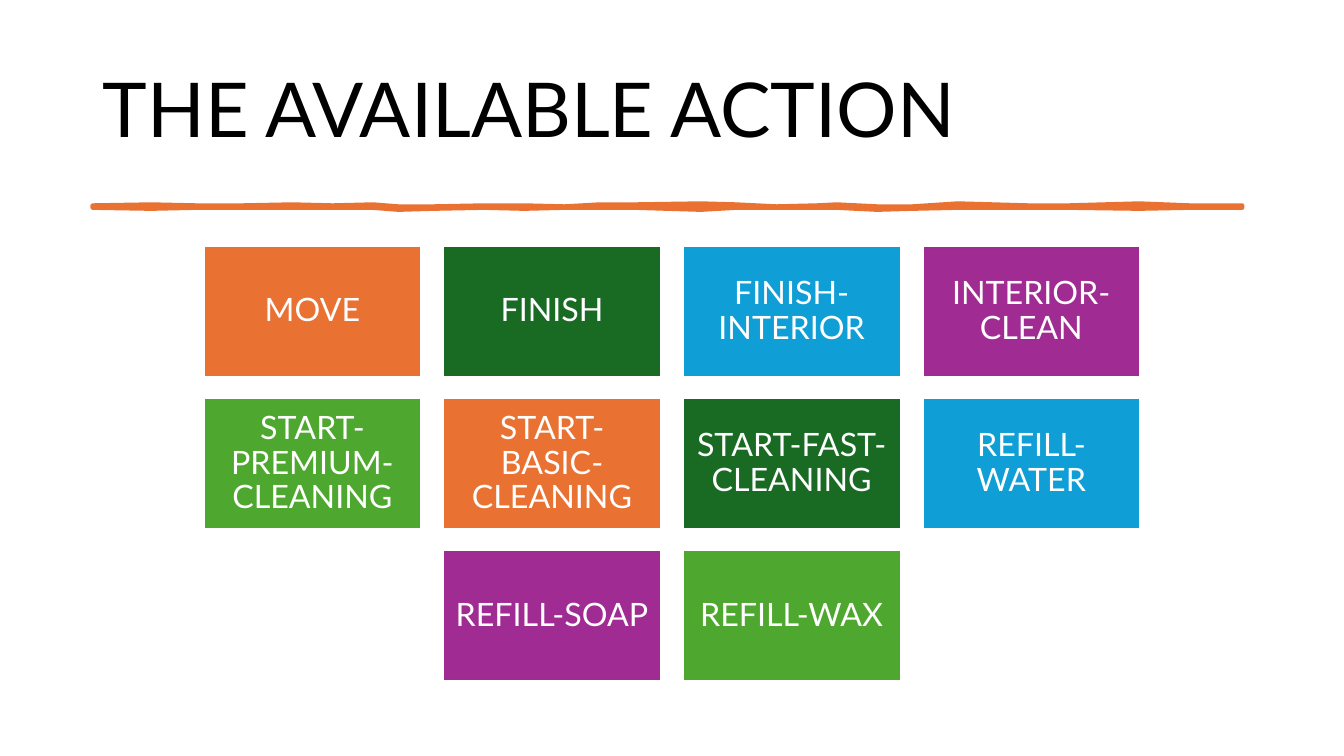
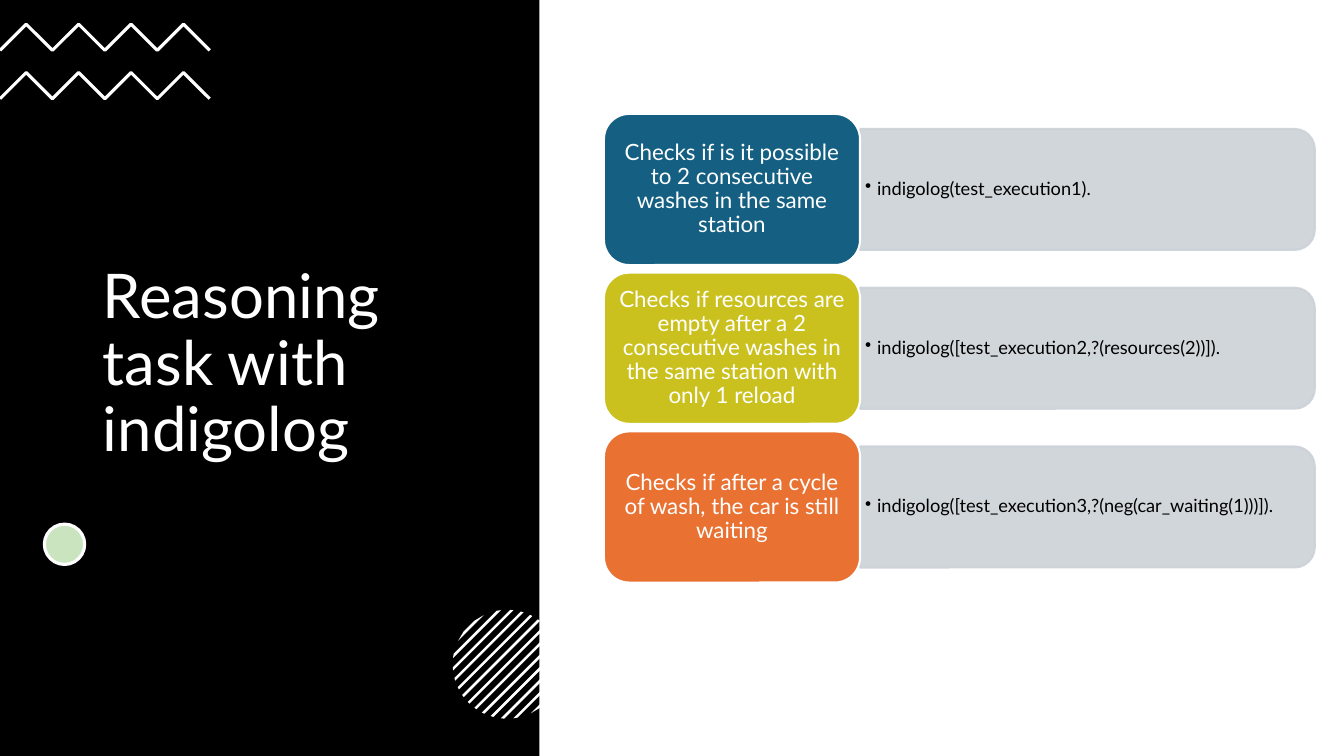
from math import sqrt

from pptx import Presentation
from pptx.dml.color import RGBColor
from pptx.enum.shapes import MSO_SHAPE
from pptx.enum.text import MSO_ANCHOR, MSO_AUTO_SIZE, PP_ALIGN
from pptx.oxml.ns import qn
from pptx.util import Inches, Pt
from lxml.etree import SubElement

FONT = "Lato"
WHITE, BLACK, GRAY = "FFFFFF", "000000", "CCD2D8"
ORANGE, MINT = "E97132", "CAE4C0"
TILES = [ORANGE, "196B24", "0F9ED5", "A02B93", "4EA72E"]
ACTIONS = [
    ["MOVE", "FINISH", "FINISH-INTERIOR", "INTERIOR-CLEAN"],
    ["START-PREMIUM-CLEANING", "START-BASIC-CLEANING",
     "START-FAST-CLEANING", "REFILL-WATER"],
    ["REFILL-SOAP", "REFILL-WAX"],
]
TASKS = [
    ("156082", "Checks if is it possible to 2 consecutive washes in the same station",
     "indigolog(test_execution1)."),
    ("CBC11E", "Checks if resources are empty after a 2 consecutive washes "
     "in the same station with only 1 reload",
     "indigolog([test_execution2,?(resources(2))])."),
    (ORANGE, "Checks if after a cycle of wash, the car is still waiting",
     "indigolog([test_execution3,?(neg(car_waiting(1)))])."),
]
# x, top and bottom of the brush stroke, y from its upper edge
STROKE = [
    (0, .02, .04), (.58, .01, .05), (1.03, .02, .04), (1.48, .02, .04),
    (1.98, .01, .04), (2.38, .02, .04), (2.78, .01, .04), (3.03, .03, .06),
    (3.38, .03, .05), (3.88, .02, .04), (4.28, .02, .05), (4.68, .03, .04),
    (5.03, .01, .04), (5.38, .01, .04), (6.03, 0, .06), (6.38, .01, .04),
    (6.78, .03, .04), (7.18, .02, .04), (7.38, .01, .04), (7.78, .03, .06),
    (8.13, .03, .05), (8.58, 0, .04), (9.28, .02, .04), (9.68, .02, .04),
    (10.38, 0, .05), (10.88, .02, .04), (11.4, .02, .04),
]


def hue(code):
    return RGBColor.from_string(code)


def fade(paint, percent):
    """Set the opacity of a solid fill."""
    paint.fore_color.rgb = paint.fore_color.rgb


def style(shape, fill=None, line=None, width=1.5, alpha=None):
    shape.shadow.inherit = False
    if fill:
        shape.fill.solid()
        shape.fill.fore_color.rgb = hue(fill)
    else:
        shape.fill.background()
    if line:
        shape.line.color.rgb = hue(line)
        shape.line.width = Pt(width)
    else:
        shape.line.fill.background()
    if alpha:
        for tint in shape._element.spPr.iter(qn("a:srgbClr")):
            SubElement(tint, qn("a:alpha"), val=str(alpha * 1000))
    return shape


def put(slide, kind, box, **look):
    return style(slide.shapes.add_shape(kind, *map(Inches, box)), **look)


def trace(slide, dots, close=True, **look):
    dots = [(Inches(x), Inches(y)) for x, y in dots]
    pen = slide.shapes.build_freeform(*dots[0], scale=1.0)
    pen.add_line_segments(dots[1:], close=close)
    return style(pen.convert_to_shape(), **look)


def write(shape, text, size, color=WHITE, align=PP_ALIGN.CENTER,
          pad=(.1, .1), bullet=False):
    frame = shape.text_frame
    frame.word_wrap = True
    frame.auto_size = MSO_AUTO_SIZE.NONE
    frame.vertical_anchor = MSO_ANCHOR.MIDDLE
    frame.margin_left = frame.margin_right = Inches(pad[0])
    frame.margin_top = frame.margin_bottom = Inches(pad[1])
    para = frame.paragraphs[0]
    para.alignment = align
    para.line_spacing = .9
    run = para.add_run()
    run.text = text
    run.font.name = FONT
    run.font.size = Pt(size)
    run.font.color.rgb = hue(color)
    if bullet:
        props = para._p.get_or_add_pPr()
        props.set("marL", str(Inches(.12)))
        props.set("indent", str(-Inches(.12)))
        SubElement(props, qn("a:buChar"), char="•")


def head(slide, text, box, size, color):
    title = slide.shapes.title
    title.left, title.top, title.width, title.height = map(Inches, box)
    write(title, text, size, color, PP_ALIGN.LEFT, (.1, .05))


def stroke(slide, left, top):
    upper = [(left + x, top + a) for x, a, b in STROKE]
    lower = [(left + x, top + b) for x, a, b in reversed(STROKE)]
    trace(slide, upper + lower, fill=ORANGE, line=ORANGE, width=3.25)


def grid(slide, left, top, width, height):
    """Lay the actions out in rows, with a short row centred."""
    wide, high = 2.16, 1.3
    across = (width - wide) / (len(ACTIONS[0]) - 1)
    down = (height - high) / (len(ACTIONS) - 1)
    count = 0
    for r, row in enumerate(ACTIONS):
        start = left + (len(ACTIONS[0]) - len(row)) / 2 * across
        for c, name in enumerate(row):
            box = start + c * across, top + r * down, wide, high
            tile = put(slide, MSO_SHAPE.RECTANGLE, box, line=WHITE,
                       fill=TILES[count % len(TILES)])
            write(tile, name, 23)
            count += 1


def zigzag(slide, left, top, step=.26):
    dots = [(left + i * step, top + (i + 1) % 2 * step) for i in range(9)]
    trace(slide, dots, close=False, line=WHITE, width=2.25)


def hatch(slide, x, y, radius):
    """Fill a circle around x, y with rising diagonal stripes."""
    gap, half = .087, .0125
    for i in range(-6, 7):
        dots = []
        for off, sides in ((i * gap - half, (-1, 1)), (i * gap + half, (1, -1))):
            reach = sqrt(radius ** 2 - off ** 2)
            dots += [(x + (off + s * reach) / sqrt(2),
                      y + (off - s * reach) / sqrt(2)) for s in sides]
        trace(slide, dots, fill=WHITE)


def panel(slide, left, top, width, height):
    block = put(slide, MSO_SHAPE.RECTANGLE, (left, top, width, height), fill=BLACK)
    tree = slide.shapes._spTree
    tree.remove(block._element)
    tree.insert(2, block._element)
    head(slide, "Reasoning task with indigolog",
         (left + .92, top + 1.31, 3.5, 4.63), 44, WHITE)
    for y in (.24, .72):
        zigzag(slide, left, top + y)
    put(slide, MSO_SHAPE.OVAL, (left + .44, top + 5.2, .4, .4),
        fill=MINT, line=WHITE, width=2.25)
    hatch(slide, left + 5.03, top + 6.59, .54)


def tasks(slide, left, top, width, height):
    wide, high, thick = 2.54, 1.5, 1.2
    step = (height - high) / (len(TASKS) - 1)
    side, long = left + wide, width - wide
    for i, (color, goal, call) in enumerate(TASKS):
        y = top + i * step
        mid = y + high / 2
        band = put(slide, MSO_SHAPE.ROUND_2_SAME_RECTANGLE,
                   (side + (long - thick) / 2, mid - long / 2, thick, long),
                   fill=GRAY, line=GRAY, alpha=90)
        band.rotation = 90
        note = slide.shapes.add_textbox(
            *map(Inches, (side, mid - .54, long - .05, 1.08)))
        write(note, call, 13, BLACK, PP_ALIGN.LEFT, (.05, .03), bullet=True)
        card = put(slide, MSO_SHAPE.ROUNDED_RECTANGLE, (left, y, wide, high),
                   fill=color, line=WHITE)
        write(card, goal, 16, pad=(.07, .03))


def main():
    deck = Presentation()
    deck.slide_width, deck.slide_height = Inches(13.33), Inches(7.5)
    layout = deck.slide_layouts[5]

    first = deck.slides.add_slide(layout)
    head(first, "THE AVAILABLE ACTION", (.92, .4, 11.5, 1.45), 54, BLACK)
    stroke(first, .92, 2.02)
    grid(first, 2.02, 2.44, 9.29, 4.32)

    second = deck.slides.add_slide(layout)
    panel(second, 0, 0, 5.35, 7.5)
    tasks(second, 5.99, 1.13, 7.05, 4.65)

    deck.save("out.pptx")


if __name__ == "__main__":
    main()
